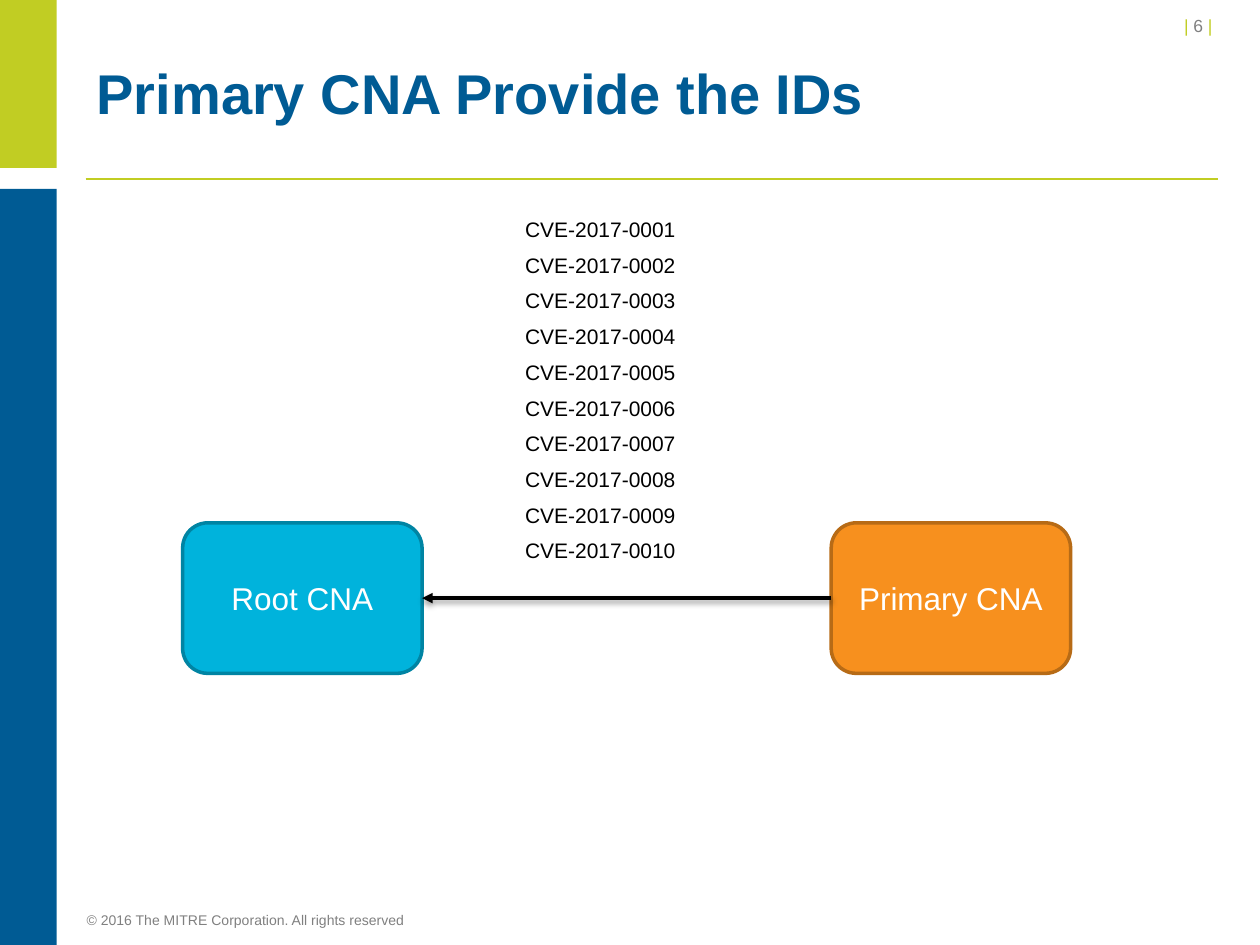
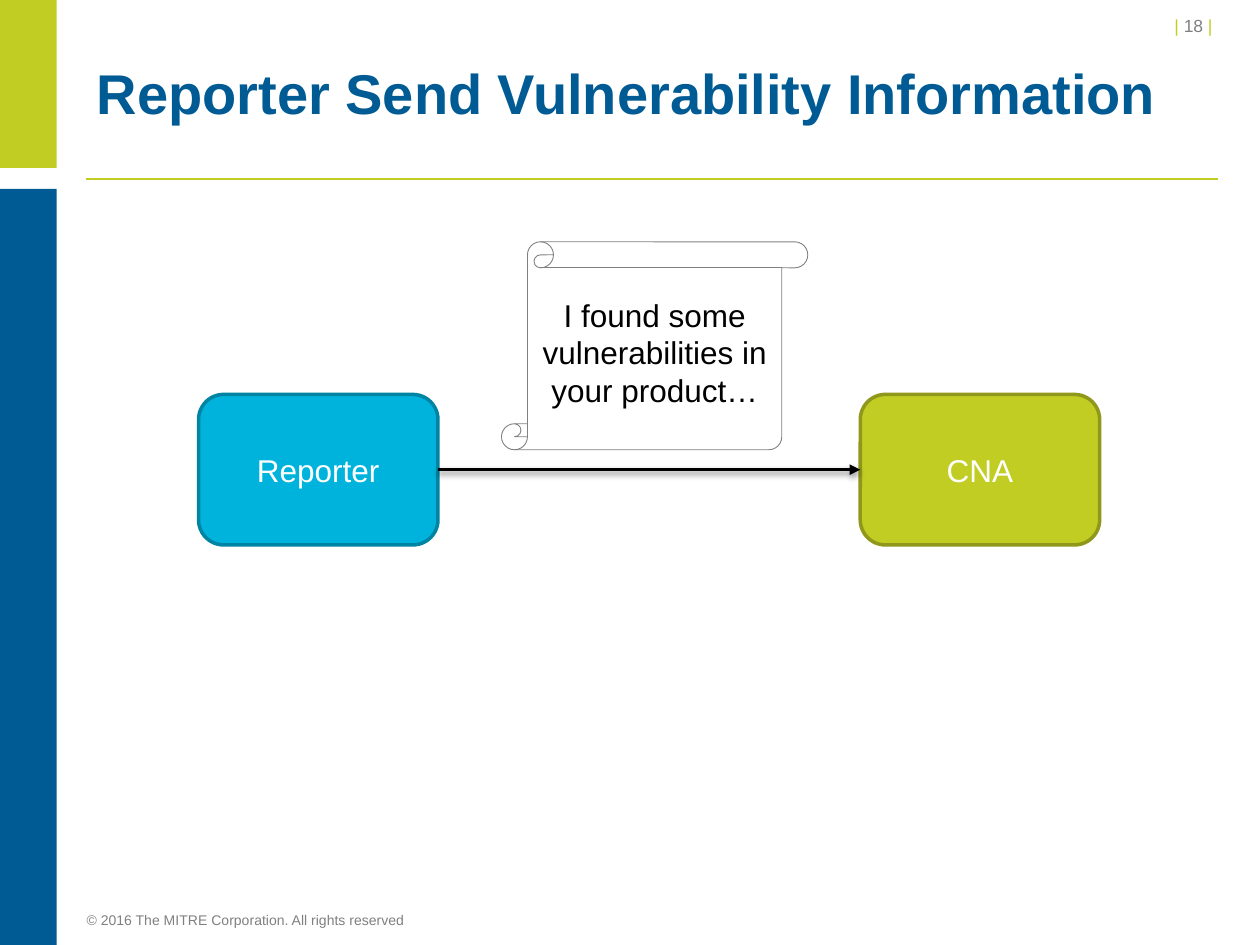
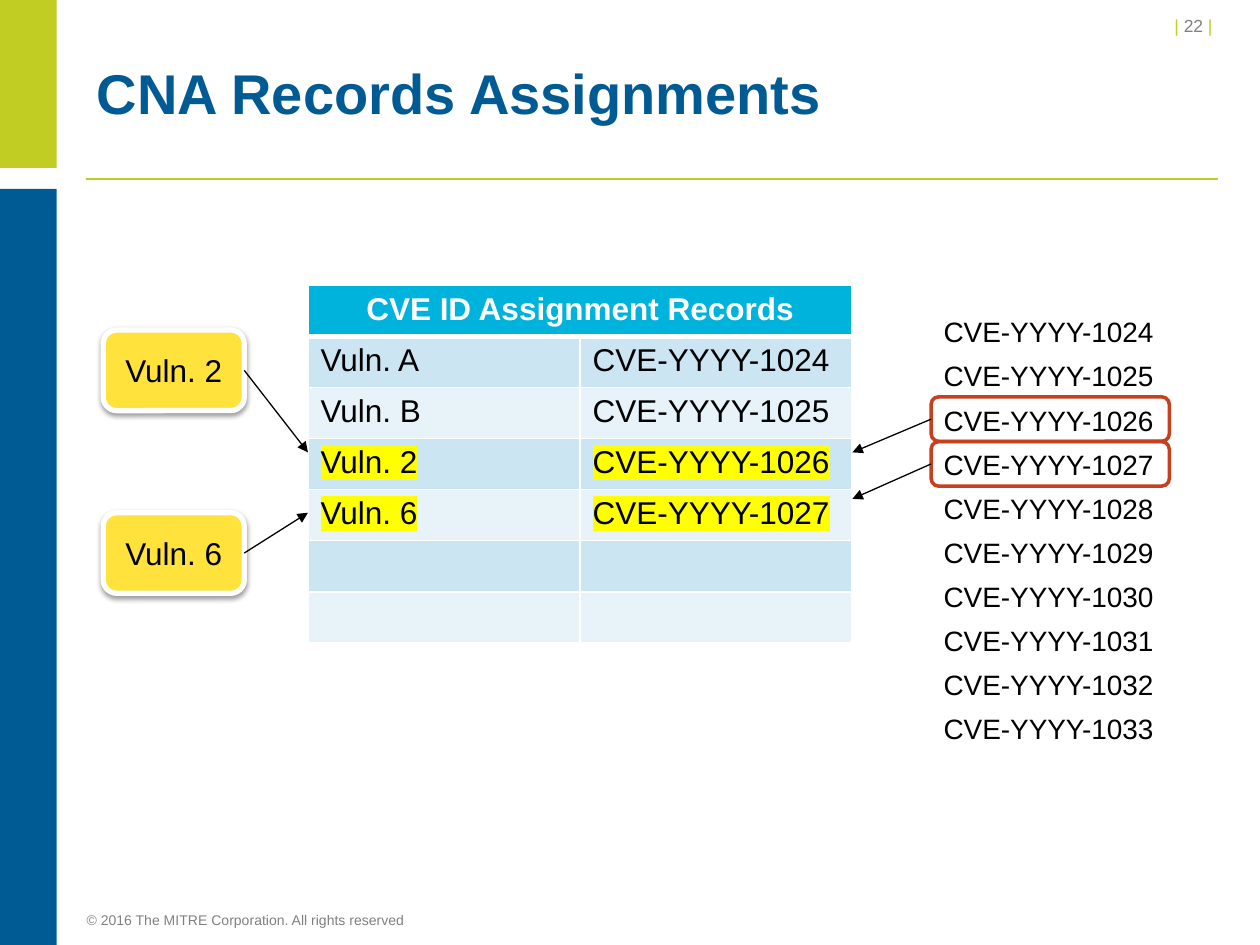
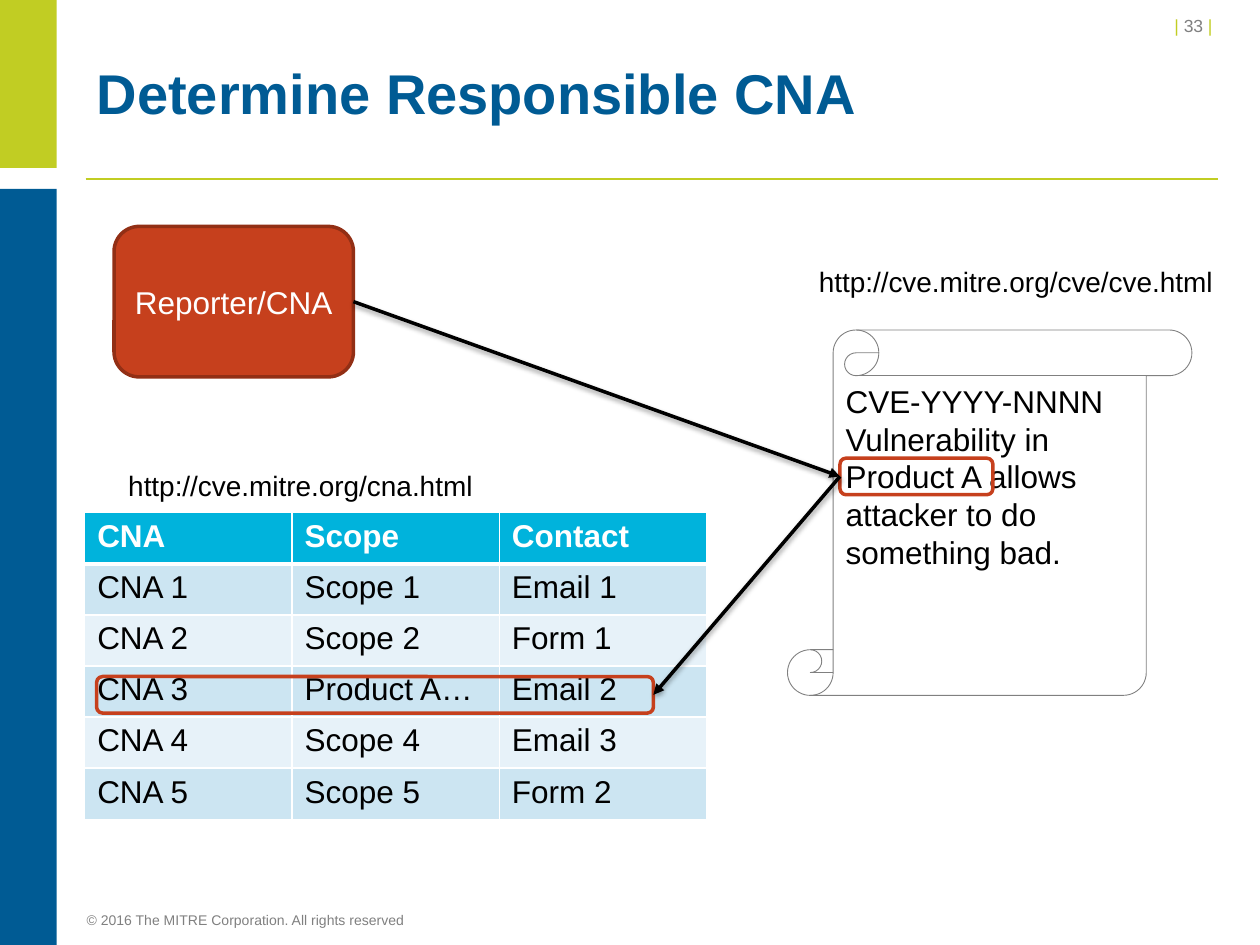
"""Build four slides on how CNAs receive, assign and look up CVE IDs."""
from dataclasses import dataclass

from lxml.etree import SubElement
from pptx import Presentation
from pptx.dml.color import RGBColor
from pptx.enum.shapes import MSO_CONNECTOR as Connector, MSO_SHAPE as Preset
from pptx.enum.text import MSO_ANCHOR as Anchor, MSO_AUTO_SIZE as AutoSize, PP_ALIGN as Align
from pptx.oxml.ns import qn
from pptx.util import Pt

FONT = "Arial"
COLORS = {
    "lime": "C1CD23", "lime_edge": "8F981A", "navy": "005B94",
    "cyan": "00B3DC", "cyan_edge": "0084A3", "orange": "F7901E", "orange_edge": "B76B16",
    "red": "C6401D", "red_edge": "922F15", "yellow": "FFE23C", "marker": "FFFF00",
    "row_dark": "CCE5F2", "row_light": "E7F2F9",
    "gray": "808080", "black": "000000", "white": "FFFFFF",
}
COPYRIGHT = "© 2016 The MITRE Corporation. All rights reserved"
LEFT_SIDE, RIGHT_SIDE = 1, 3
ROW_HEIGHT = 29.2


@dataclass(frozen=True)
class Area:
    left: float
    top: float
    width: float
    height: float

    def lengths(self) -> list:
        return [Pt(value) for value in (self.left, self.top, self.width, self.height)]


@dataclass(frozen=True)
class TextStyle:
    size: float = 18
    color: str = "black"
    bold: bool = False
    align: Align = Align.LEFT
    anchor: Anchor = Anchor.TOP
    space_after: float = 0
    line_spacing: float = 0


@dataclass(frozen=True)
class Look:
    preset: Preset = Preset.ROUNDED_RECTANGLE
    fill: str = ""
    edge: str = ""
    edge_width: float = 2
    shadow: bool = False


@dataclass(frozen=True)
class ArrowStyle:
    width: float
    shadow: bool


TITLE = TextStyle(32, "navy", True, anchor=Anchor.MIDDLE, line_spacing=32)
FOOTER = TextStyle(8, "gray")
PAGE_NUMBER = TextStyle(10, "gray", align=Align.RIGHT, space_after=6)
PARTY_LABEL = TextStyle(18, "white", align=Align.CENTER, anchor=Anchor.MIDDLE)
CENTERED = TextStyle(align=Align.CENTER, anchor=Anchor.MIDDLE)
BODY = TextStyle()
SMALL_IDS = TextStyle(12, space_after=6)
LARGE_IDS = TextStyle(16, space_after=6)

SCROLL = Look(Preset.VERTICAL_SCROLL, edge="gray", edge_width=0.5)
NOTE = Look(fill="yellow", edge="white", edge_width=3, shadow=True)
CALLOUT = Look(edge="red")
FLOW = ArrowStyle(2, True)
POINTER = ArrowStyle(0.75, False)


def rgb(color: str) -> RGBColor:
    return RGBColor.from_string(COLORS[color])


def style_paragraph(paragraph, style: TextStyle) -> None:
    paragraph.alignment = style.align
    if style.space_after:
        paragraph.space_after = Pt(style.space_after)
    if style.line_spacing:
        paragraph.line_spacing = Pt(style.line_spacing)
    font = paragraph.font
    font.name, font.size, font.bold = FONT, Pt(style.size), style.bold
    font.color.rgb = rgb(style.color)


def write(frame, lines: list[str], style: TextStyle) -> None:
    frame.vertical_anchor = style.anchor
    for index, line in enumerate(lines):
        paragraph = frame.add_paragraph() if index else frame.paragraphs[0]
        paragraph.add_run().text = line
        style_paragraph(paragraph, style)


def add_text(slide, area: Area, lines: list[str], style: TextStyle, wrap: bool = True):
    frame = slide.shapes.add_textbox(*area.lengths()).text_frame
    frame.word_wrap = wrap
    frame.auto_size = AutoSize.NONE if wrap else AutoSize.SHAPE_TO_FIT_TEXT
    write(frame, lines, style)
    return frame


def add_shadow(effects) -> None:
    shadow = SubElement(effects, qn("a:outerShdw"), blurRad=str(Pt(3.1)), dist=str(Pt(1.6)),
                        dir="5400000", rotWithShape="0")
    tone = SubElement(shadow, qn("a:srgbClr"), val=COLORS["black"])
    SubElement(tone, qn("a:alpha"), val="38000")


def add_figure(slide, area: Area, look: Look, lines: list[str] = (), style: TextStyle = BODY):
    figure = slide.shapes.add_shape(look.preset, *area.lengths())
    figure.shadow.inherit = False
    if look.fill:
        figure.fill.solid()
        figure.fill.fore_color.rgb = rgb(look.fill)
    else:
        figure.fill.background()
    if look.edge:
        figure.line.color.rgb = rgb(look.edge)
        figure.line.width = Pt(look.edge_width)
    else:
        figure.line.fill.background()
    if look.shadow:
        add_shadow(figure._element.spPr.find(qn("a:effectLst")))
    if lines:
        figure.text_frame.word_wrap = True
        write(figure.text_frame, lines, style)
    return figure


def add_party(slide, left: float, top: float, label: str, color: str):
    look = Look(fill=color, edge=f"{color}_edge")
    return add_figure(slide, Area(left, top, 136.8, 86), look, [label], PARTY_LABEL)


def add_line(slide, start: tuple, end: tuple, color: str, width: float):
    line = slide.shapes.add_connector(Connector.STRAIGHT, *map(Pt, start + end))
    line.line.color.rgb = rgb(color)
    line.line.width = Pt(width)
    effects = SubElement(line._element.spPr, qn("a:effectLst"))
    return line, effects


def add_arrow(slide, source, source_side: int, style: ArrowStyle,
              target=None, target_side: int = LEFT_SIDE, tip: tuple = (0, 0)) -> None:
    arrow, effects = add_line(slide, (0, 0), tip, "black", style.width)
    arrow.begin_connect(source, source_side)
    if target is not None:
        arrow.end_connect(target, target_side)
    SubElement(arrow._element.spPr.find(qn("a:ln")), qn("a:tailEnd"), type="triangle")
    if style.shadow:
        add_shadow(effects)


def style_cell(cell, row: int) -> None:
    properties = cell._tc.get_or_add_tcPr()
    widths = {"lnL": 1, "lnR": 1, "lnT": 3 if row == 1 else 1, "lnB": 1 if row else 3}
    for side, width in widths.items():
        border = SubElement(properties, qn(f"a:{side}"), w=str(Pt(width)))
        SubElement(SubElement(border, qn("a:solidFill")), qn("a:srgbClr"), val=COLORS["white"])
    cell.fill.solid()
    cell.fill.fore_color.rgb = rgb("cyan" if row == 0 else "row_dark" if row % 2 else "row_light")


def add_records(slide, left: float, top: float, column_width: float, rows: list[list[str]],
                header_align: Align = Align.LEFT, marked_rows: tuple = ()):
    columns = len(rows[0])
    area = Area(left, top, column_width * columns, ROW_HEIGHT * len(rows))
    table = slide.shapes.add_table(len(rows), columns, *area.lengths()).table
    for column in table.columns:
        column.width = Pt(column_width)
    header = TextStyle(18, "white", True, header_align)
    for row, values in enumerate(rows):
        table.rows[row].height = Pt(ROW_HEIGHT)
        for column, value in enumerate(values):
            cell = table.cell(row, column)
            style_cell(cell, row)
            paragraph = cell.text_frame.paragraphs[0]
            if value:
                run = paragraph.add_run()
                run.text = value
                if row in marked_rows:
                    marker = SubElement(run._r.get_or_add_rPr(), qn("a:highlight"))
                    SubElement(marker, qn("a:srgbClr"), val=COLORS["marker"])
            style_paragraph(paragraph, BODY if row else header)
    return table


def add_page_number(slide, number: int) -> None:
    frame = add_text(slide, Area(576.7, 5, 126, 19.4), ["| "], PAGE_NUMBER)
    paragraph = frame.paragraphs[0]
    for text in (f"{number} ", "| "):
        paragraph.add_run().text = text
    for run in paragraph.runs[::2]:
        run.font.color.rgb = rgb("lime")


def start_slide(deck, title: str, number: int):
    slide = deck.slides.add_slide(deck.slide_layouts[6])
    add_line(slide, (49, 102.2), (696.2, 102.2), "lime", 1)
    add_figure(slide, Area(0, 0, 32.4, 96), Look(Preset.RECTANGLE, "lime"))
    add_figure(slide, Area(0, 108, 32.4, 432), Look(Preset.RECTANGLE, "navy"))
    add_page_number(slide, number)
    footer = add_text(slide, Area(49.5, 520.6, 360, 9.4), [COPYRIGHT], FOOTER)
    footer.margin_left = footer.margin_top = footer.margin_right = footer.margin_bottom = 0
    add_text(slide, Area(48.2, 21.6, 648, 68.4), [title], TITLE)
    return slide


def build_id_supply(deck) -> None:
    slide = start_slide(deck, "Primary CNA Provide the IDs", 6)
    primary = add_party(slide, 475, 298.8, "Primary CNA", "orange")
    root = add_party(slide, 104.4, 298.8, "Root CNA", "cyan")
    ids = [f"CVE-2017-{number:04}" for number in range(1, 11)]
    add_text(slide, Area(293, 120.2, 100.8, 207.4), ids, SMALL_IDS, wrap=False)
    add_arrow(slide, primary, LEFT_SIDE, FLOW, root, RIGHT_SIDE)


def build_report(deck) -> None:
    slide = start_slide(deck, "Reporter Send Vulnerability Information", 18)
    cna = add_party(slide, 491.6, 225.4, "CNA", "lime")
    reporter = add_party(slide, 113.5, 225.4, "Reporter", "cyan")
    add_arrow(slide, reporter, RIGHT_SIDE, FLOW, cna, LEFT_SIDE)
    message = ["I found some vulnerabilities in", "your product…"]
    add_figure(slide, Area(286.6, 138.2, 175, 118.8), SCROLL, message, CENTERED)


def build_assignments(deck) -> None:
    slide = start_slide(deck, "CNA Records Assignments", 22)
    ids = [f"CVE-YYYY-{number}" for number in range(1024, 1034)]
    add_text(slide, Area(532.1, 176.4, 136.1, 255.6), ids, LARGE_IDS, wrap=False)
    vulnerabilities = ["Vuln. A", "Vuln. B", "Vuln. 2", "Vuln. 6"]
    rows = [["CVE ID Assignment Records", ""], *map(list, zip(vulnerabilities, ids)),
            ["", ""], ["", ""]]
    records = add_records(slide, 176, 163, 155.5, rows, Align.CENTER, marked_rows=(3, 4))
    records.cell(0, 0).merge(records.cell(0, 1))
    for label, top, tip_top in (("Vuln. 2", 188.6, 258.5), ("Vuln. 6", 293, 293)):
        note = add_figure(slide, Area(59, top, 80.6, 46.1), NOTE, [label], CENTERED)
        add_arrow(slide, note, RIGHT_SIDE, POINTER, tip=(176, tip_top))
    for top, tip_top in ((226.8, 258.5), (252.4, 285.1)):
        assigned_id = add_figure(slide, Area(532.1, top, 136.1, 25.4), CALLOUT)
        add_arrow(slide, assigned_id, LEFT_SIDE, POINTER, tip=(487.1, tip_top))


def build_responsible_cna(deck) -> None:
    slide = start_slide(deck, "Determine Responsible CNA", 33)
    reporter = add_party(slide, 65.2, 129.4, "Reporter/CNA", "red")
    entry = ["CVE-YYYY-NNNN", "Vulnerability in Product A allows attacker to do something bad."]
    add_figure(slide, Area(450, 188.6, 231.1, 208.8), SCROLL, entry, BODY)
    add_text(slide, Area(460.8, 147.6, 243.4, 26.6), ["http://cve.mitre.org/cve/cve.html"],
             LARGE_IDS, wrap=False)
    scopes = ["Scope 1", "Scope 2", "Product A…", "Scope 4", "Scope 5"]
    contacts = ["Email 1", "Form 1", "Email 2", "Email 3", "Form 2"]
    rows = [[f"CNA {number}", scope, contact]
            for number, (scope, contact) in enumerate(zip(scopes, contacts), 1)]
    add_records(slide, 48.4, 293, 118.5, [["CNA", "Scope", "Contact"], *rows])
    product = add_figure(slide, Area(480, 261.8, 87.4, 20.9), CALLOUT)
    add_text(slide, Area(66.2, 264.2, 214.6, 26.6), ["http://cve.mitre.org/cna.html"],
             LARGE_IDS, wrap=False)
    matching_row = add_figure(slide, Area(55.2, 386.6, 318.2, 20.9), CALLOUT)
    add_arrow(slide, reporter, RIGHT_SIDE, FLOW, product, LEFT_SIDE)
    add_arrow(slide, product, LEFT_SIDE, FLOW, matching_row, RIGHT_SIDE)


def main() -> None:
    deck = Presentation()
    deck.slide_width, deck.slide_height = Pt(720), Pt(540)
    for build in (build_id_supply, build_report, build_assignments, build_responsible_cna):
        build(deck)
    deck.save("out.pptx")


if __name__ == "__main__":
    main()
